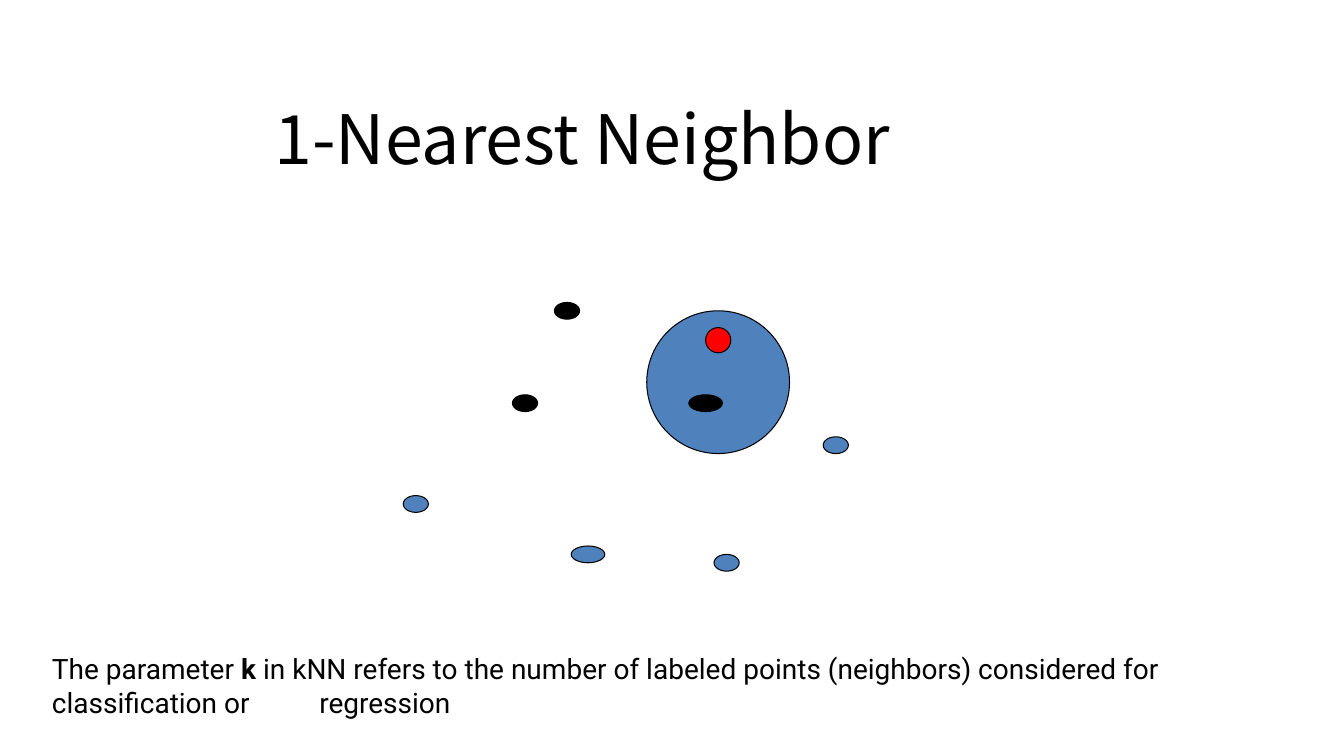
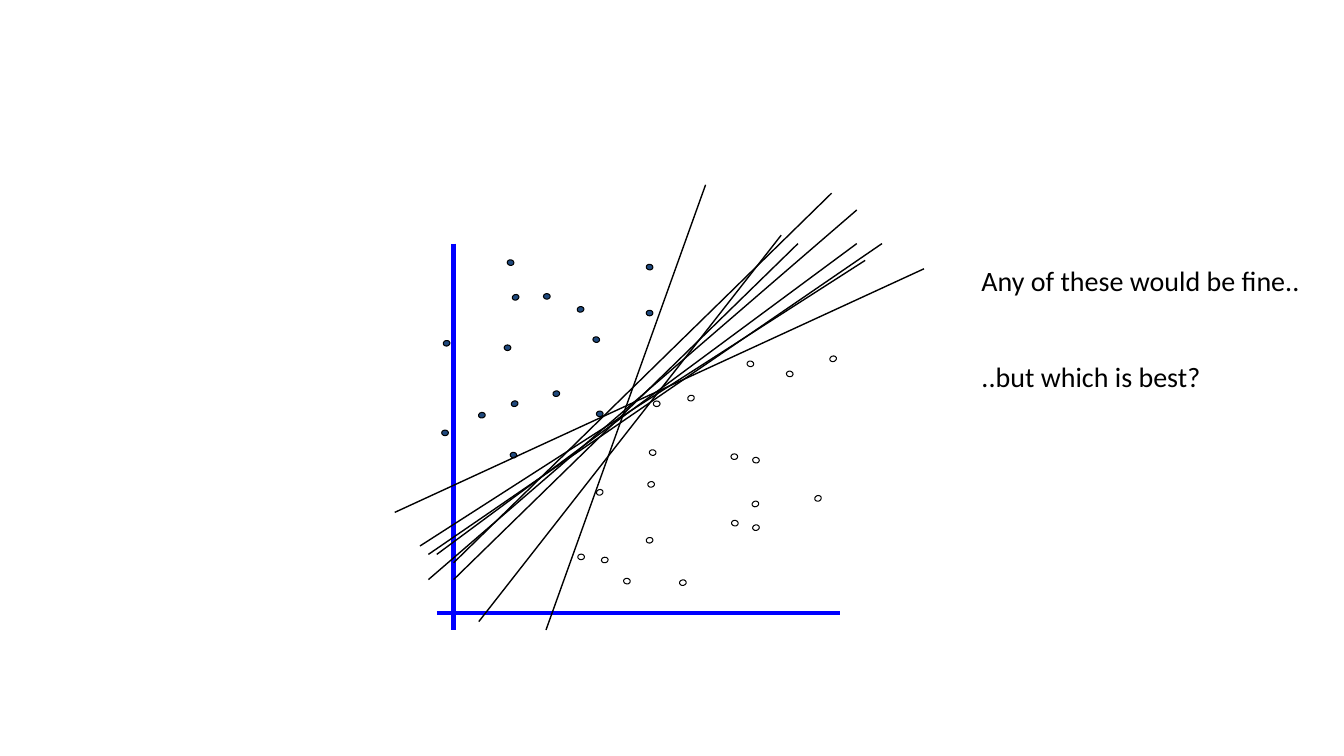
from lxml.etree import SubElement
from pptx import Presentation
from pptx.dml.color import RGBColor
from pptx.enum.shapes import MSO_CONNECTOR, MSO_SHAPE
from pptx.enum.text import MSO_ANCHOR
from pptx.oxml.ns import qn
from pptx.util import Pt

COLORS = {"black": "000000", "white": "FFFFFF", "blue": "4F81BD",
          "navy": "1F497D", "red": "FF0000", "axis": "0000FF"}

NEIGHBORS = [
    (408, 390, 24, 12, "blue"),
    (462, 222, 102, 102, "blue"),
    (366, 282, 18, 12, "black"),
    (588, 312, 18, 12, "blue"),
    (396, 216, 18, 12, "black"),
    (504, 234, 18, 18, "red"),
    (288, 354, 18, 12, "blue"),
    (510, 396, 18, 12, "blue"),
    (492, 282, 24, 12, "black"),
]

DOT_W, DOT_H = 4.8, 4
DOTS = {
    ("navy", 0): [(317.9, 309.2), (464, 223.6), (390.6, 211.7), (428.4, 295.6),
                  (362.5, 248.4)],
    ("white", 0): [(415.1, 397.8), (469.1, 288.4), (524.5, 326.2)],
    ("navy", 341.4): [(368.3, 212.4), (367.6, 288.4)],
    ("white", 341.4): [(428.4, 351.7), (595.1, 256.3), (539.6, 360),
                       (493.6, 284.4), (584.3, 356)],
    ("navy", 8.3): [(425.9, 242.6), (366.8, 325.1), (464, 190.8), (364.7, 187.6)],
    ("white", 8.3): [(447.8, 415.1), (540, 328.7), (466.2, 323.3),
                     (564.1, 267.1), (536, 259.9), (524.9, 373.7)],
    ("navy", 349.6): [(397.4, 281.2), (344.2, 296.6), (414.7, 221), (319, 245.2)],
    ("white", 349.6): [(487.8, 416.2), (464, 385.9), (465.1, 346), (432, 400),
                       (540, 376.9)],
}

AXES = [(324, 174, 324, 450), (312, 438, 600, 438)]
SEPARATORS = [
    (390, 450, 504, 132),
    (300, 390, 618, 186),
    (324, 414, 570, 174),
    (282, 366, 660, 192),
    (312, 396, 612, 174),
    (306, 414, 612, 150),
    (324, 402, 594, 138),
    (342, 444, 558, 168),
    (306, 396, 630, 174),
]


def rgb(name):
    """Return the named colour."""
    return RGBColor.from_string(COLORS[name])


def add_ellipse(s, x, y, w, h, fill, rotation=0):
    """Draw a filled ellipse with a thin black outline."""
    sp = s.shapes.add_shape(MSO_SHAPE.OVAL, Pt(x), Pt(y), Pt(w), Pt(h))
    sp.shadow.inherit = False
    sp.rotation = rotation
    sp.fill.solid()
    sp.fill.fore_color.rgb = rgb(fill)
    sp.line.color.rgb = rgb("black")
    sp.line.width = Pt(0.75)


def add_line(s, ends, color, width):
    """Draw a straight line between two points."""
    line = s.shapes.add_connector(MSO_CONNECTOR.STRAIGHT, *map(Pt, ends))
    line.line.color.rgb = rgb(color)
    line.line.width = Pt(width)
    SubElement(line._element.spPr, qn("a:effectLst"))


def add_text(s, box, paragraphs, font, size, anchor=MSO_ANCHOR.TOP, gap=0):
    """Write paragraphs, each a list of (text, bold) runs."""
    tf = s.shapes.add_textbox(*map(Pt, box)).text_frame
    tf.word_wrap = True
    tf.vertical_anchor = anchor
    for i, runs in enumerate(paragraphs):
        p = tf.add_paragraph() if i else tf.paragraphs[0]
        p.space_before = Pt(gap if i else 0)
        p.font.name = font
        p.font.size = Pt(size)
        p.font.color.rgb = rgb("black")
        for text, bold in runs:
            r = p.add_run()
            r.text = text
            if bold:
                r.font.bold = True
    return tf


def add_tab_stop(p, position):
    """Give a paragraph one left tab stop."""
    pPr = p._p.get_or_add_pPr()
    tabs = pPr.makeelement(qn("a:tabLst"), {})
    SubElement(tabs, qn("a:tab"), pos=str(Pt(position)), algn="l")
    pPr.find(qn("a:defRPr")).addprevious(tabs)


def build_neighbor_slide(s):
    """Show the nearest neighbour of one point."""
    add_text(s, (189, 68, 643, 60), [[("1-Nearest Neighbor", False)]],
             "Noto Sans CJK KR", 48.6, MSO_ANCHOR.MIDDLE)
    for x, y, w, h, fill in NEIGHBORS:
        add_ellipse(s, x, y, w, h, fill)
    tf = add_text(s, (30, 462, 921, 55), [[
        ("The parameter ", False),
        ("k", True),
        (" in kNN refers to the number of labeled points (neighbors) "
         "considered for classification or\tregression", False),
    ]], "Roboto", 20)
    add_tab_stop(tf.paragraphs[0], 191)


def build_separator_slide(s):
    """Show two classes and many separating lines."""
    for ends in AXES:
        add_line(s, ends, "axis", 3)
    for (fill, rotation), centers in DOTS.items():
        for x, y in centers:
            add_ellipse(s, x - DOT_W / 2, y - DOT_H / 2, DOT_W, DOT_H,
                        fill, rotation)
    for ends in SEPARATORS:
        add_line(s, ends, "black", 1)
    add_text(s, (694, 185, 246, 104), [
        [("Any of these would be fine..", False)],
        [("..but which is best?", False)],
    ], "Calibri", 20, gap=44)


def main():
    """Build and save the presentation."""
    prs = Presentation()
    prs.slide_width, prs.slide_height = Pt(960), Pt(540)
    for build in (build_neighbor_slide, build_separator_slide):
        build(prs.slides.add_slide(prs.slide_layouts[6]))
    prs.save("out.pptx")


if __name__ == "__main__":
    main()
